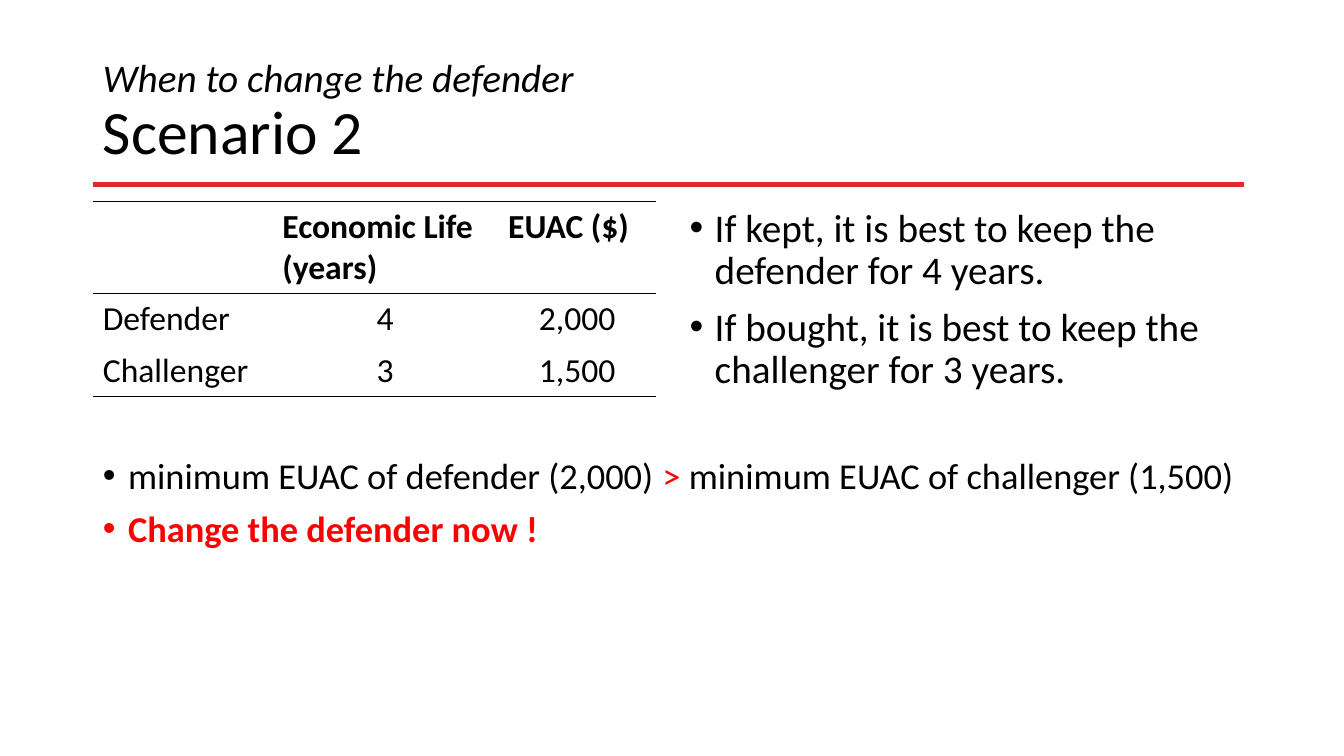
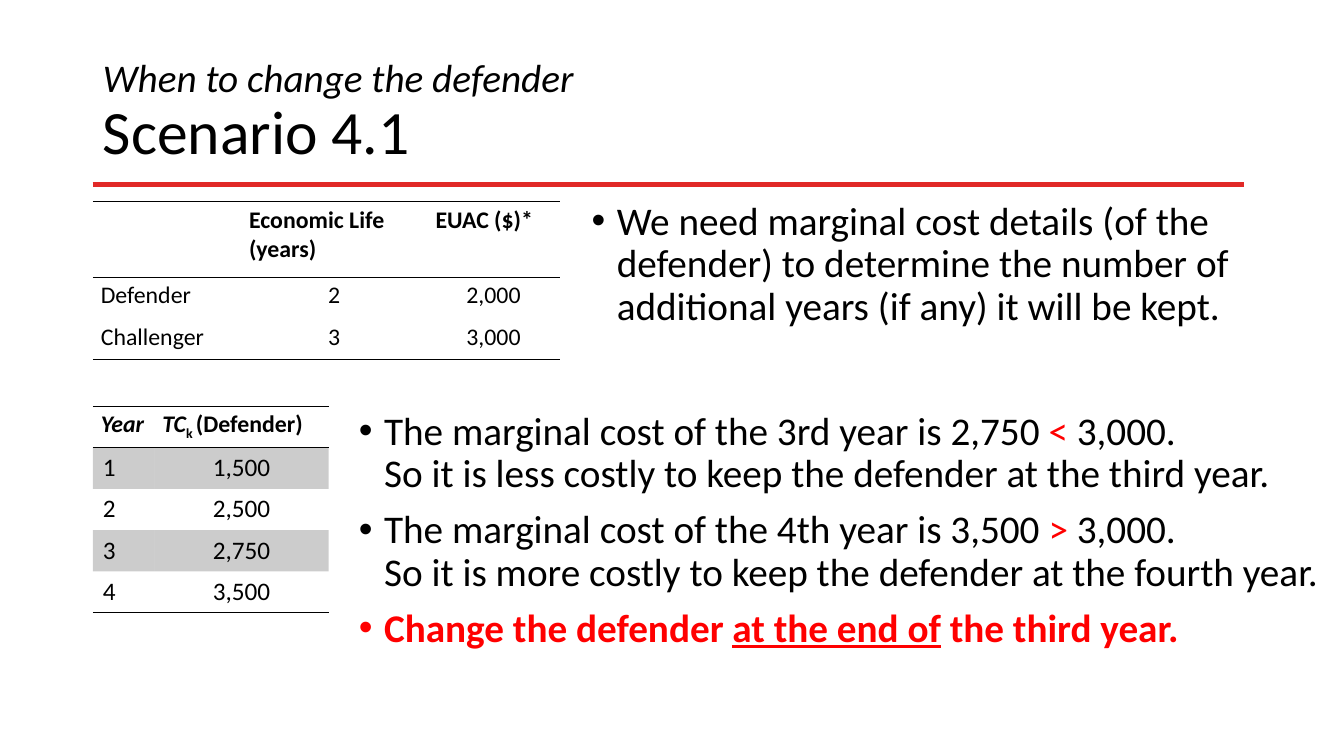
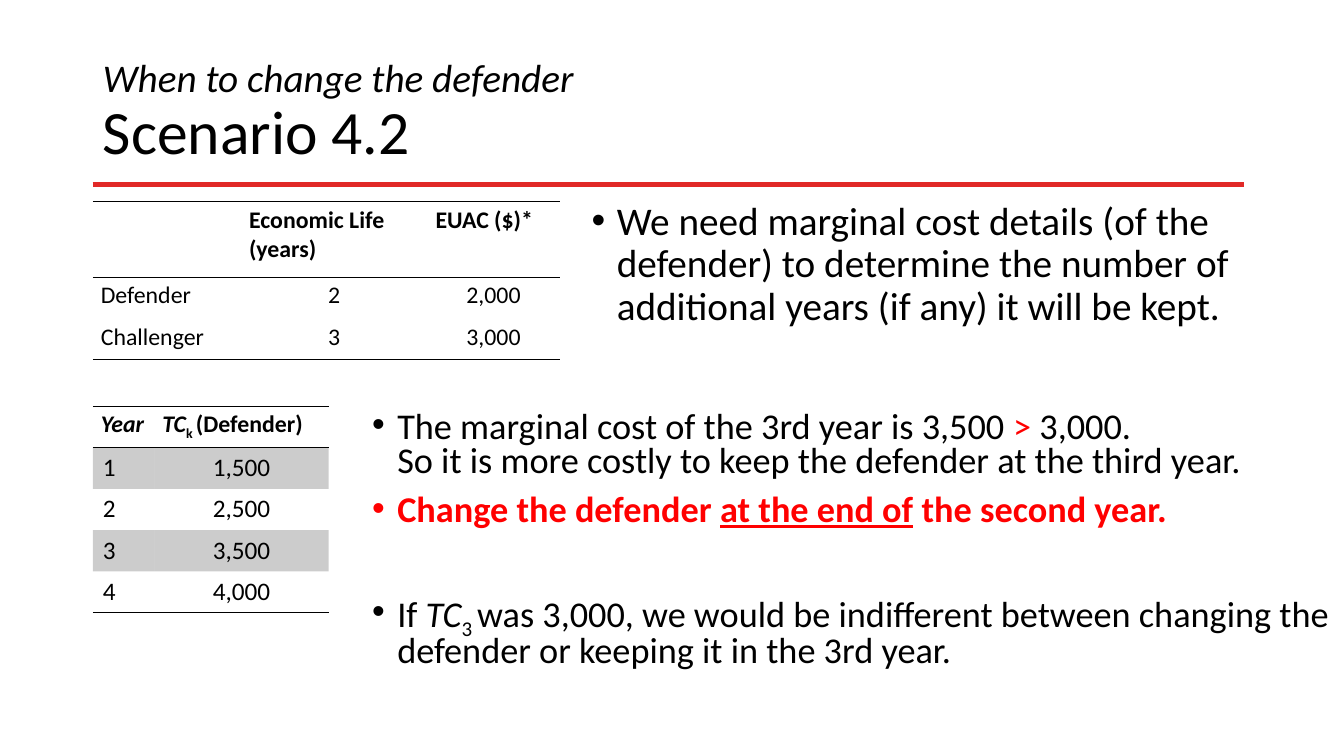
from dataclasses import dataclass

from lxml.etree import SubElement
from pptx import Presentation
from pptx.dml.color import RGBColor
from pptx.enum.shapes import MSO_CONNECTOR
from pptx.enum.text import MSO_ANCHOR, MSO_AUTO_SIZE, PP_ALIGN
from pptx.oxml.ns import qn
from pptx.util import Pt

STRAIGHT = MSO_CONNECTOR.STRAIGHT
MIDDLE = MSO_ANCHOR.MIDDLE
NO_AUTOFIT = MSO_AUTO_SIZE.NONE
LEFT, CENTER = PP_ALIGN.LEFT, PP_ALIGN.CENTER

PX = 9144  # EMU in one px, 100 px to the inch
PLAIN_TABLE = "{2D5ABB26-0587-4C30-8999-92F81FD0307C}"


@dataclass(frozen=True)
class Theme:
    font: str = "Calibri"
    ink: str = "000000"
    accent: str = "FF0000"
    rule: str = "E12927"
    band_alpha: int = 20
    title: float = 44
    kicker: float = 28
    body: float = 28
    body_small: float = 26
    body_tight: float = 25.9
    table: float = 24
    table_small: float = 17
    table_cost: float = 18


THEME = Theme()
ITALIC = {"italic": True}
BOLD = {"bold": True}
BOLD_ITALIC = {**BOLD, **ITALIC}
SUBSCRIPT = {"baseline": -25}
RED = {"color": THEME.accent}
ALERT = {**RED, **BOLD}
ALERT_UNDERLINED = {**ALERT, "underline": True}

TITLE_BOX = (92, 40, 1150, 145)
RULE = (92, 183, 1234, 183)
BULLET_INDENT = 25
BULLET_GAP = 10
SMALL_INSETS = (8, 4)
WIDE_INSETS = (10, 5)


def emu(lengths):
    return [length * PX for length in lengths]


def place(shape, box):
    shape.left, shape.top, shape.width, shape.height = emu(box)


# Text
def format_run(run, size, color=THEME.ink, bold=False, italic=False,
               underline=False, baseline=0):
    font = run.font
    font.name, font.size = THEME.font, Pt(size)
    font.bold, font.italic, font.underline = bold, italic, underline
    font.color.rgb = RGBColor.from_string(color)
    if baseline:
        run._r.get_or_add_rPr().set("baseline", str(baseline * 1000))


def write_spans(paragraph, spans, size):
    """Fill a paragraph from (text, style) spans; \\v breaks the line."""
    for text, style in spans:
        for index, line in enumerate(text.split("\v")):
            if index:
                paragraph.add_line_break()
            run = paragraph.add_run()
            run.text = line
            format_run(run, **{"size": size, **style})
    for line_break in paragraph._p.findall(qn("a:br")):
        SubElement(line_break, qn("a:rPr")).set("sz", str(int(size * 100)))


def write_bullets(shape, box, items, size, spacing=0.9, gaps=None):
    """Place bulleted paragraphs; gaps overrides the space before an item."""
    place(shape, box)
    frame = shape.text_frame
    frame.word_wrap = True
    frame.auto_size = NO_AUTOFIT
    for index, spans in enumerate(items):
        paragraph = frame.add_paragraph() if index else frame.paragraphs[0]
        properties = paragraph._p.get_or_add_pPr()
        properties.set("marL", str(BULLET_INDENT * PX))
        properties.set("indent", str(-BULLET_INDENT * PX))
        SubElement(properties, qn("a:buFont")).set("typeface", "Arial")
        SubElement(properties, qn("a:buChar")).set("char", "•")
        paragraph.line_spacing = spacing
        gap = (gaps or {}).get(index, BULLET_GAP)
        paragraph.space_before = Pt(gap if index else 0)
        write_spans(paragraph, spans, size)


# Shared frame of every slide
def add_rule(layout, page):
    """Draw the red rule and hand it over to the layout."""
    rule = page.shapes.add_connector(STRAIGHT, *emu(RULE))
    rule.line.color.rgb = RGBColor.from_string(THEME.rule)
    rule.line.width = Pt(3)
    SubElement(rule.element.spPr, qn("a:effectLst"))
    rule.element.find(".//" + qn("p:cNvPr")).set("id", "20")
    layout.shapes.element.append(rule.element)


def add_page(deck, layout, heading):
    page = deck.slides.add_slide(layout)
    title = page.shapes.title
    place(title, TITLE_BOX)
    frame = title.text_frame
    frame.auto_size = NO_AUTOFIT
    frame.vertical_anchor = MIDDLE
    paragraph = frame.paragraphs[0]
    paragraph.alignment = LEFT
    paragraph.line_spacing = 0.9
    spans = [("When to change the defender\v", ITALIC),
             (heading, {"size": THEME.title})]
    write_spans(paragraph, spans, THEME.kicker)
    return page


# Tables
def style_cell(cell, insets, edges, banded):
    cell.margin_left = cell.margin_right = insets[0] * PX
    cell.margin_top = cell.margin_bottom = insets[1] * PX
    properties = cell._tc.get_or_add_tcPr()
    for edge in edges:
        line = SubElement(properties, qn("a:" + edge), w=str(Pt(1)))
        fill = SubElement(line, qn("a:solidFill"))
        SubElement(fill, qn("a:srgbClr"), val=THEME.ink)
    if banded:
        cell.fill.solid()
        cell.fill.fore_color.rgb = RGBColor.from_string(THEME.ink)
        color = properties.find(qn("a:solidFill")).find(qn("a:srgbClr"))
        SubElement(color, qn("a:alpha"), val=str(THEME.band_alpha * 1000))
    else:
        cell.fill.background()


def add_ruled_table(page, origin, columns, heights, header, rows, sizes,
                    insets, banded=False):
    """Table ruled above and below its header and at its foot.

    header holds spans; sizes and insets give (header, body) values.
    """
    box = (*origin, sum(columns), sum(heights))
    holder = page.shapes.add_table(len(heights), len(columns), *emu(box))
    holder.element.find(".//" + qn("a:tableStyleId")).text = PLAIN_TABLE
    table = holder.table
    table.first_row = table.horz_banding = False
    for column, width in zip(table.columns, columns):
        column.width = width * PX
    for row, height in zip(table.rows, heights):
        row.height = height * PX

    body = [[[(text, {})] for text in row] for row in rows]
    for row_index, row in enumerate([header, *body]):
        is_body = row_index > 0
        edges = ("lnB",) if row_index == len(rows) else ()
        if not is_body:
            edges = ("lnT", "lnB")
        for column_index, spans in enumerate(row):
            cell = table.cell(row_index, column_index)
            style_cell(cell, insets[is_body], edges,
                       banded and row_index % 2 == 1)
            paragraph = cell.text_frame.paragraphs[0]
            if is_body and column_index:
                paragraph.alignment = CENTER
            write_spans(paragraph, spans, sizes[is_body])


def add_life_table(page, columns, heights, cost_label, rows, size, insets):
    header = [[], [("Economic Life (years)", BOLD)], [(cost_label, BOLD)]]
    add_ruled_table(page, (92, 200), columns, heights, header, rows,
                    (size, size), (insets, insets))


def add_cost_table(page, costs):
    header = [[("Year", BOLD_ITALIC)],
              [("TC", BOLD_ITALIC), ("k ", {**BOLD, **SUBSCRIPT}),
               ("(Defender)", BOLD)]]
    rows = [(str(year), cost) for year, cost in enumerate(costs, 1)]
    add_ruled_table(page, (92, 403), (61, 173), [41] * (len(rows) + 1),
                    header, rows, (THEME.table_small, THEME.table_cost),
                    (SMALL_INSETS, WIDE_INSETS), banded=True)


def add_side_bullets(page, box, items):
    side = page.shapes.add_textbox(*emu(box))
    write_bullets(side, box, items, THEME.body)


# Slides
def build_simple_scenario(page):
    add_life_table(page, (178, 224, 157), (91, 51, 51), "EUAC ($)",
                   [("Defender", "4", "2,000"), ("Challenger", "3", "1,500")],
                   THEME.table, WIDE_INSETS)
    add_side_bullets(page, (674, 202, 559, 258), [
        [("If kept, it is best to keep the defender for 4 years.", {})],
        [("If bought, it is best to keep the challenger for 3 years.", {})],
    ])
    conclusion = [
        [("minimum EUAC of defender (2,000) ", {}), (">", RED),
         (" minimum EUAC of challenger (1,500)", {})],
        [("Change the defender now !", ALERT)],
    ]
    write_bullets(page.placeholders[1], (92, 449, 1150, 273), conclusion,
                  THEME.body_small)


def build_marginal_scenario(page, costs, left, items, size, **layout_options):
    add_cost_table(page, costs)
    add_life_table(page, (147, 185, 131), (75, 41, 41), "EUAC ($)*",
                   [("Defender", "2", "2,000"), ("Challenger", "3", "3,000")],
                   THEME.table_small, SMALL_INSETS)
    add_side_bullets(page, (577, 195, 653, 162), [
        [("We need marginal cost details (of the defender) to determine the "
          "number of additional years (if any) it will be kept.", {})],
    ])
    write_bullets(page.placeholders[1], (left, 403, 975, 275), items, size,
                  **layout_options)


def compare_year(year, cost, sign, verdict, year_name):
    return [(f"The marginal cost of the {year} year is {cost} ", {}),
            (sign, RED),
            (f" 3,000.\vSo it is {verdict} costly to keep the defender "
             f"at the {year_name} year.", {})]


def change_after(year_name):
    return [("Change the defender ", ALERT),
            ("at the end of", ALERT_UNDERLINED),
            (f" the {year_name} year.", ALERT)]


def main():
    deck = Presentation()
    deck.slide_width, deck.slide_height = emu((1333, 750))
    layout = deck.slide_layouts[1]

    page = add_page(deck, layout, "Scenario 2")
    add_rule(layout, page)
    build_simple_scenario(page)

    page = add_page(deck, layout, "Scenario 4.1")
    build_marginal_scenario(
        page, ("1,500", "2,500", "2,750", "3,500"), 346,
        [compare_year("3rd", "2,750", "<", "less", "third"),
         compare_year("4th", "3,500", ">", "more", "fourth"),
         change_after("third")],
        THEME.body)

    page = add_page(deck, layout, "Scenario 4.2")
    indifference = [
        ("If ", {}), ("TC", ITALIC), ("3 ", SUBSCRIPT),
        ("was 3,000, we would be indifferent between changing the "
         "defender or keeping it in the 3rd year.", {})]
    build_marginal_scenario(
        page, ("1,500", "2,500", "3,500", "4,000"), 359,
        [compare_year("3rd", "3,500", ">", "more", "third"),
         change_after("second"), indifference],
        THEME.body_tight, spacing=0.8, gaps={2: 47})

    deck.save("out.pptx")


if __name__ == "__main__":
    main()
